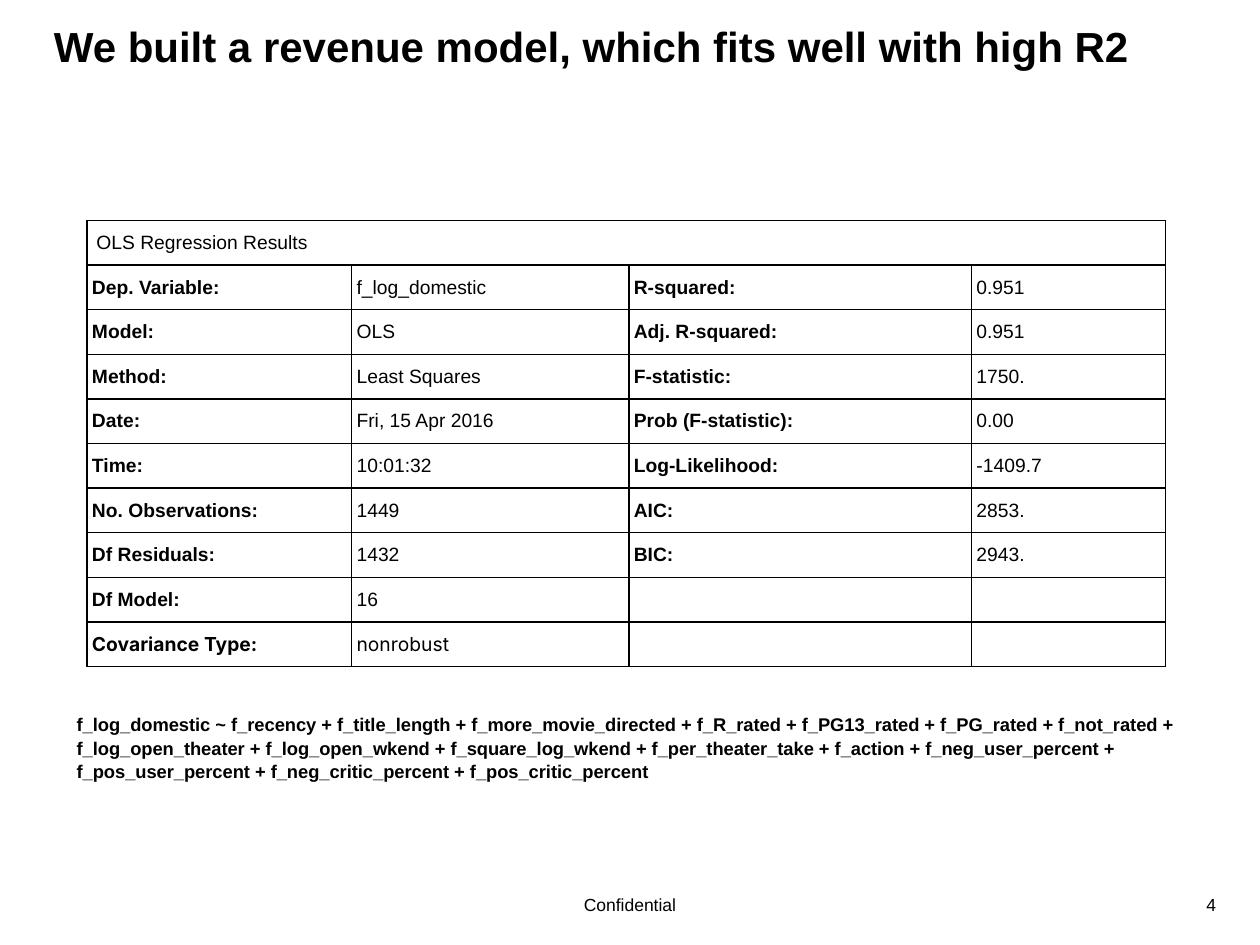
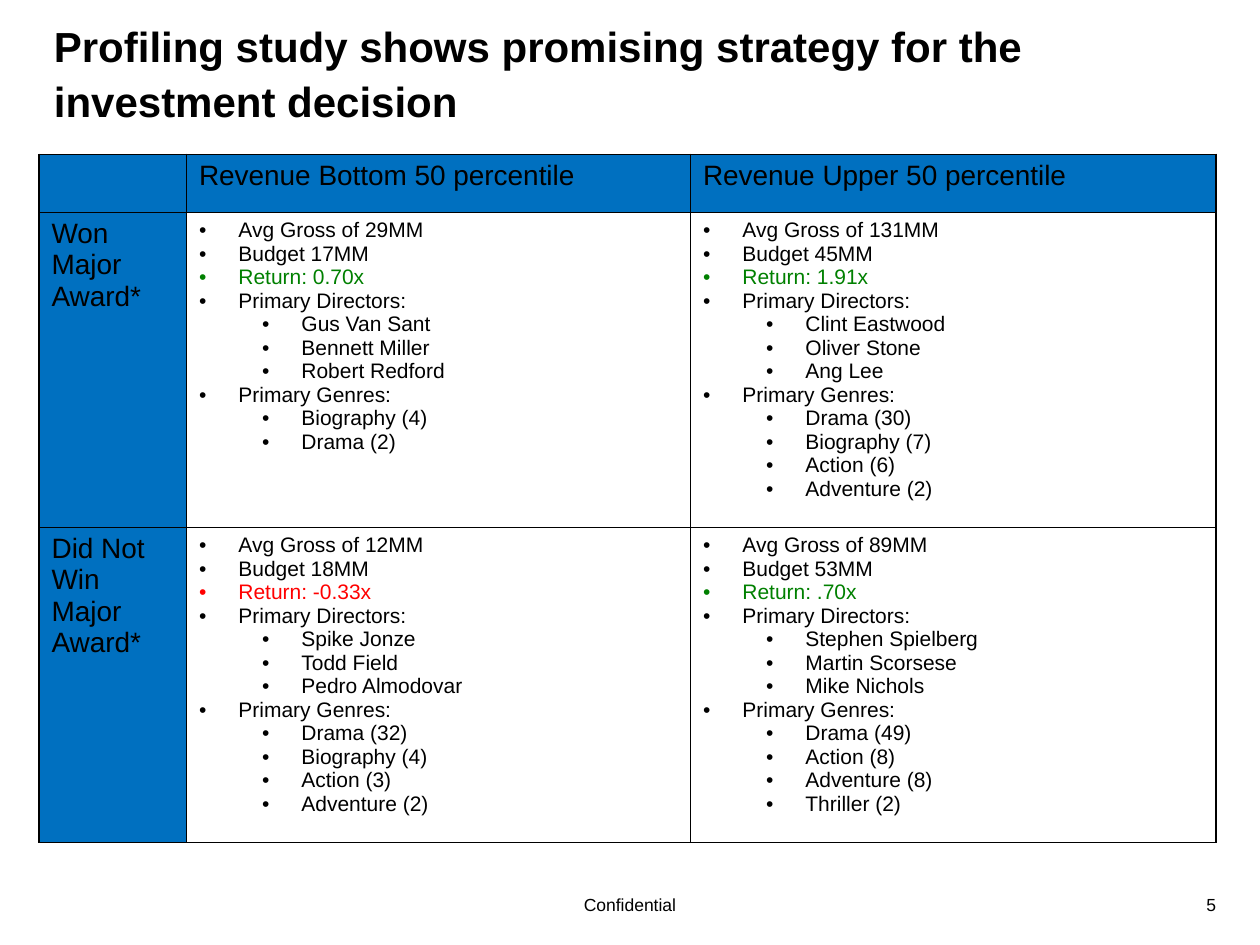
from dataclasses import dataclass

from lxml.etree import SubElement
from pptx import Presentation
from pptx.dml.color import RGBColor
from pptx.enum.text import MSO_ANCHOR, PP_ALIGN
from pptx.oxml.ns import qn
from pptx.util import Emu, Inches, Pt


@dataclass(frozen=True)
class Theme:
    font: str = "Arial"
    alt_font: str = "Inter"
    ink: str = "000000"
    paper: str = "FFFFFF"
    header: str = "0070C0"
    gain: str = "008000"
    loss: str = "FF0000"
    title: float = 24
    heading: float = 16
    bullet: float = 12
    stats: float = 11
    formula: float = 10.5
    footer: float = 10
    border: float = 1


THEME = Theme()
UNIT = Inches(0.1)  # the slide is a grid of 100 columns by 75 rows

OLS_ROWS = [
    ("Dep. Variable:", "f_log_domestic", "R-squared:", "0.951"),
    ("Model:", "OLS", "Adj. R-squared:", "0.951"),
    ("Method:", "Least Squares", "F-statistic:", "1750."),
    ("Date:", "Fri, 15 Apr 2016", "Prob (F-statistic):", "0.00"),
    ("Time:", "10:01:32", "Log-Likelihood:", "-1409.7"),
    ("No. Observations:", "1449", "AIC:", "2853."),
    ("Df Residuals:", "1432", "BIC:", "2943."),
    ("Df Model:", "16", "", ""),
    ("Covariance Type:", "nonrobust", "", ""),
]

FORMULA = (
    "f_log_domestic ~ f_recency + f_title_length + f_more_movie_directed + f_R_rated"
    " + f_PG13_rated + f_PG_rated + f_not_rated + f_log_open_theater"
    " + f_log_open_wkend + f_square_log_wkend + f_per_theater_take + f_action"
    " + f_neg_user_percent + f_pos_user_percent + f_neg_critic_percent"
    " + f_pos_critic_percent"
)

PROFILE_HEADINGS = ["", "Revenue Bottom 50 percentile", "Revenue Upper 50 percentile"]

# Each profile: gross, budget, return, directors, genres
PROFILES = {
    "Won Major Award*": [
        ("29MM", "17MM", "0.70x",
         ["Gus Van Sant", "Bennett Miller", "Robert Redford"],
         ["Biography (4)", "Drama (2)"]),
        ("131MM", "45MM", "1.91x",
         ["Clint Eastwood", "Oliver Stone", "Ang Lee"],
         ["Drama (30)", "Biography (7)", "Action (6)", "Adventure (2)"]),
    ],
    "Did Not Win Major Award*": [
        ("12MM", "18MM", "-0.33x",
         ["Spike Jonze", "Todd Field", "Pedro Almodovar"],
         ["Drama (32)", "Biography (4)", "Action (3)", "Adventure (2)"]),
        ("89MM", "53MM", ".70x",
         ["Stephen Spielberg", "Martin Scorsese", "Mike Nichols"],
         ["Drama (49)", "Action (8)", "Adventure (8)", "Thriller (2)"]),
    ],
}


def grid(*counts):
    """Turn counts of grid columns or rows into lengths."""
    return [Emu(round(n * UNIT)) for n in counts]


def style(p, size, bold=False, color=THEME.ink, font=THEME.font):
    p.font.name = font
    p.font.size = Pt(size)
    p.font.bold = bold
    p.font.color.rgb = RGBColor.from_string(color)


def add_text(slide, box, text, size, bold=False, align=PP_ALIGN.LEFT, spacing=1.0):
    tf = slide.shapes.add_textbox(*grid(*box)).text_frame
    tf.word_wrap = True
    p = tf.paragraphs[0]
    p.text = text
    p.alignment = align
    p.line_spacing = spacing
    style(p, size, bold)


def add_page(prs, title, number):
    """Add a slide with the shared title and footer."""
    slide = prs.slides.add_slide(prs.slide_layouts[6])
    add_text(slide, (93, 70.5, 4.5, 2.7), str(number), THEME.footer,
             align=PP_ALIGN.RIGHT)
    add_text(slide, (20, 70.5, 60, 2.7), "Confidential", THEME.footer,
             align=PP_ALIGN.CENTER)
    add_text(slide, (3.3, 0.8, 93.3, 11.7), title, THEME.title, bold=True, spacing=1.09)
    return slide


def add_borders(cell):
    tc_pr = cell._tc.get_or_add_tcPr()
    for side in ("lnL", "lnR", "lnT", "lnB"):
        ln = SubElement(tc_pr, qn(f"a:{side}"), w=str(Pt(THEME.border)))
        fill = SubElement(ln, qn("a:solidFill"))
        SubElement(fill, qn("a:srgbClr"), val=THEME.ink)


def add_grid_table(slide, left, top, widths, heights):
    """Add a plain bordered table with white cells."""
    box = grid(left, top, sum(widths), sum(heights))
    table = slide.shapes.add_table(len(heights), len(widths), *box).table
    table.first_row = table.horz_banding = False
    for column, width in zip(table.columns, grid(*widths)):
        column.width = width
    for row, height in zip(table.rows, grid(*heights)):
        row.height = height
    for cell in table.iter_cells():
        add_borders(cell)
        fill_cell(cell, THEME.paper)
    return table


def fill_cell(cell, color):
    cell.fill.solid()
    cell.fill.fore_color.rgb = RGBColor.from_string(color)


def write_stat(cell, text, inset=0.4, **look):
    cell.text = text
    cell.vertical_anchor = MSO_ANCHOR.MIDDLE
    cell.margin_left, cell.margin_right = grid(inset, inset)
    cell.margin_top, cell.margin_bottom = grid(0.4, 0.4)
    style(cell.text_frame.paragraphs[0], THEME.stats, **look)


def write_heading(cell, text):
    cell.text = text
    fill_cell(cell, THEME.header)
    style(cell.text_frame.paragraphs[0], THEME.heading)


def write_bullet(p, text, level, color):
    p.text = text
    p.level = level
    p_pr = p._p.get_or_add_pPr()
    margin, hang = grid(3.13 + 5 * level, 3.13)
    p_pr.set("marL", str(margin))
    p_pr.set("indent", str(-hang))
    SubElement(SubElement(p_pr, qn("a:buClr")), qn("a:srgbClr"), val=color)
    SubElement(p_pr, qn("a:buFont"), typeface=THEME.font)
    SubElement(p_pr, qn("a:buChar"), char="•")
    style(p, THEME.bullet, color=color)


def write_profile(cell, gross, budget, multiple, directors, genres):
    return_color = THEME.loss if multiple.startswith("-") else THEME.gain
    bullets = [
        (f"Avg Gross of {gross}", 0, THEME.ink),
        (f"Budget {budget}", 0, THEME.ink),
        (f"Return: {multiple}", 0, return_color),
    ]
    for label, names in (("Directors", directors), ("Genres", genres)):
        bullets.append((f"Primary {label}:", 0, THEME.ink))
        bullets += [(name, 1, THEME.ink) for name in names]
    tf = cell.text_frame
    for i, bullet in enumerate(bullets):
        write_bullet(tf.add_paragraph() if i else tf.paragraphs[0], *bullet)


def build_model_slide(prs):
    slide = add_page(prs, "We built a revenue model, which fits well with high R2", 4)
    table = add_grid_table(slide, 6.9, 17.5, (21, 22, 27.2, 15.4),
                           [3.54] * (len(OLS_ROWS) + 1))
    table.cell(0, 0).merge(table.cell(0, 3))
    write_stat(table.cell(0, 0), "OLS Regression Results", inset=0.75)
    for r, values in enumerate(OLS_ROWS, 1):
        font = THEME.alt_font if r == len(OLS_ROWS) else THEME.font
        for c, value in enumerate(values):
            write_stat(table.cell(r, c), value, bold=c % 2 == 0, font=font)
    add_text(slide, (5.1, 56, 89.8, 6.3), FORMULA, THEME.formula, bold=True, spacing=1.07)


def build_profile_slide(prs):
    slide = add_page(
        prs, "Profiling study shows promising strategy for the investment decision", 5)
    table = add_grid_table(slide, 3.1, 12.25, (11.7, 40, 41.7), (4.6, 23.4, 23.4))
    for c, heading in enumerate(PROFILE_HEADINGS):
        write_heading(table.cell(0, c), heading)
    for r, (award, profiles) in enumerate(PROFILES.items(), 1):
        write_heading(table.cell(r, 0), award)
        for c, profile in enumerate(profiles, 1):
            write_profile(table.cell(r, c), *profile)


def main():
    prs = Presentation()
    prs.slide_width, prs.slide_height = grid(100, 75)
    build_model_slide(prs)
    build_profile_slide(prs)
    prs.save("out.pptx")


if __name__ == "__main__":
    main()
